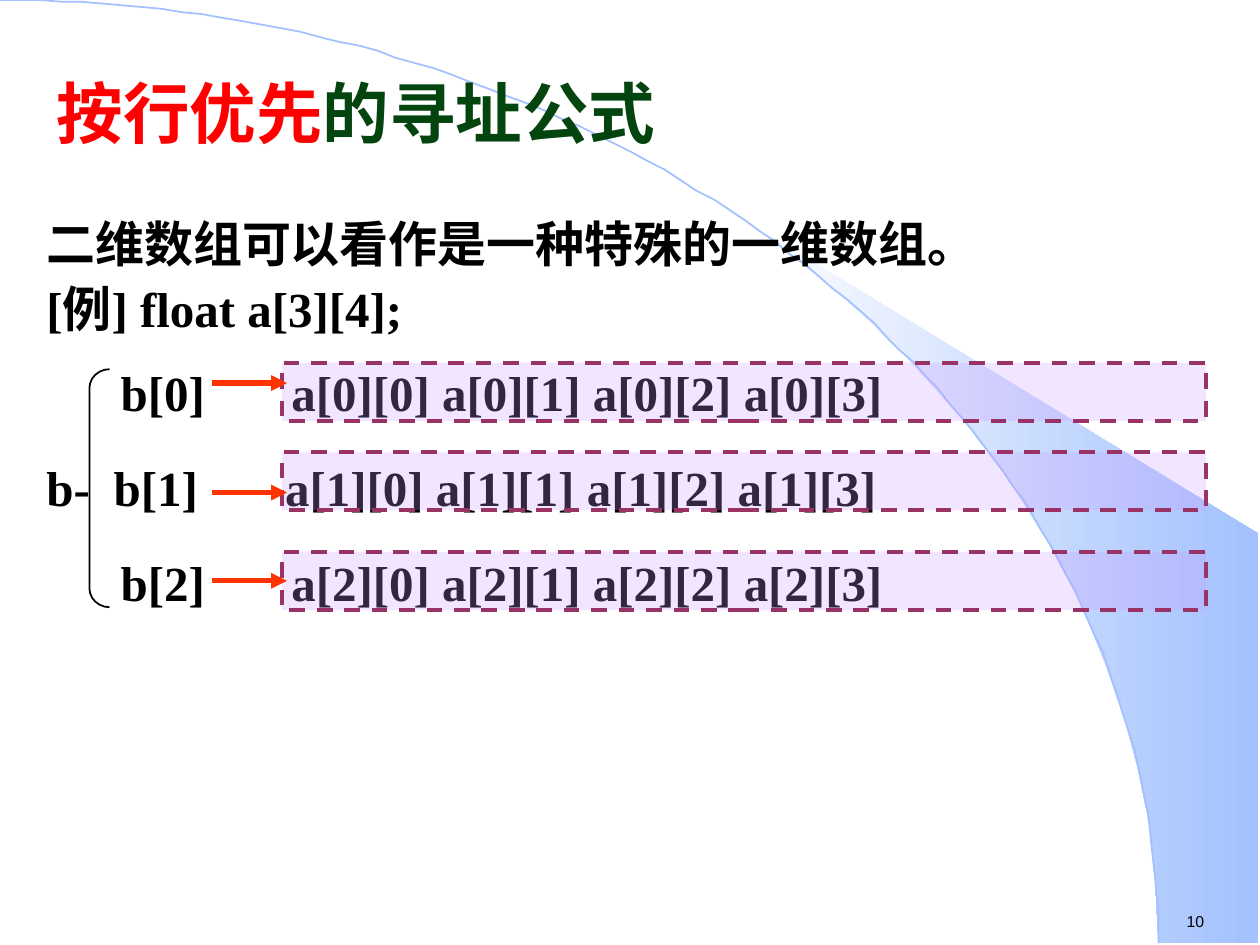
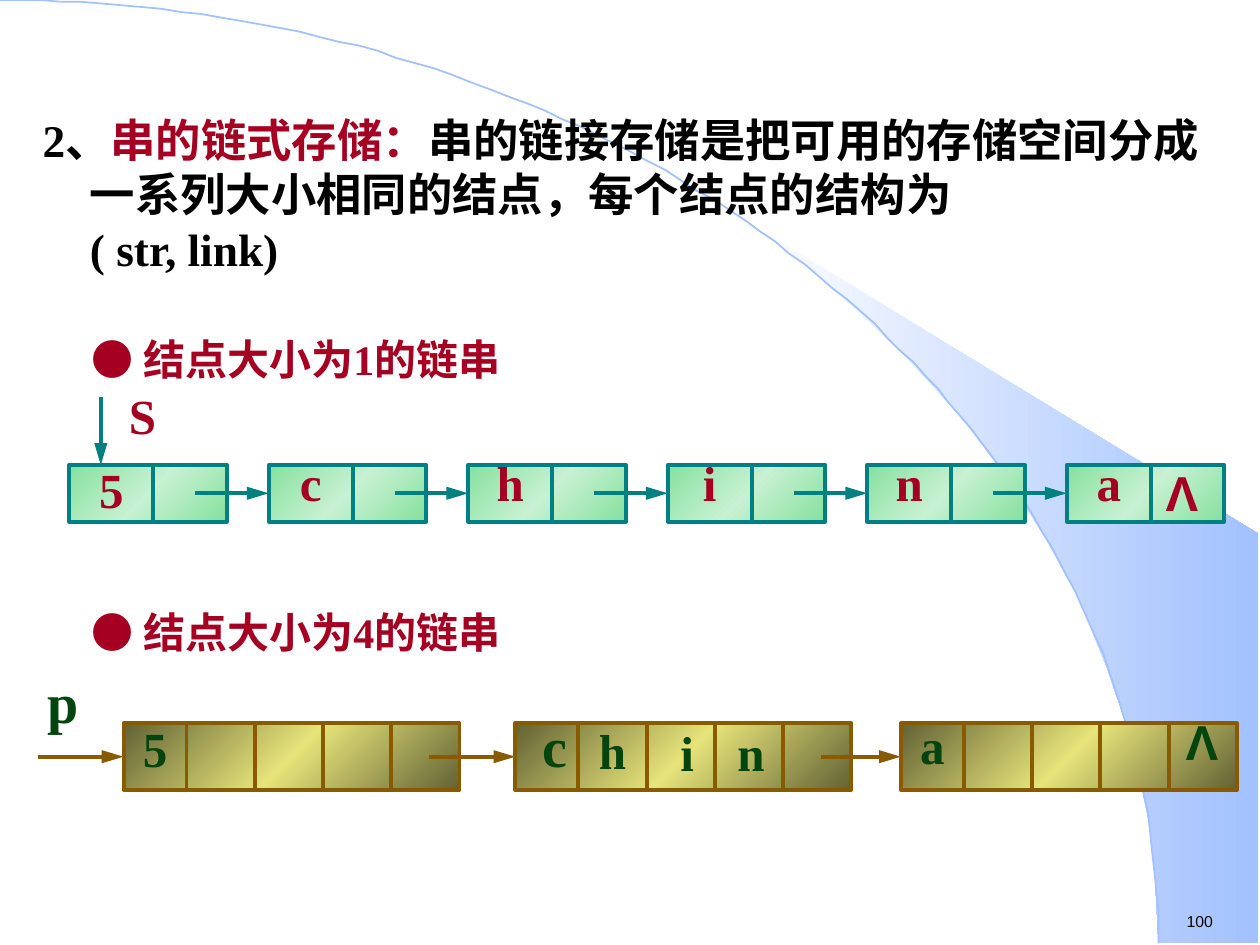
from itertools import pairwise
from math import cos, pi, sin

from lxml import etree
from pptx import Presentation
from pptx.dml.color import RGBColor
from pptx.enum import dml, shapes, text
from pptx.oxml.ns import qn
from pptx.util import Pt

BLACK = RGBColor(0, 0, 0)
RED = RGBColor(0xFF, 0, 0)
GREEN = RGBColor(0x04, 0x44, 0x0F)
CRIMSON = RGBColor(0xA5, 0x00, 0x21)
SKY = RGBColor(0xA2, 0xC1, 0xFE)
WHITE = RGBColor(0xFF, 0xFF, 0xFF)
ORANGE = RGBColor(0xFF, 0x33, 0x00)
LILAC = RGBColor(0xCC, 0x99, 0xFF)
PLUM = RGBColor(0x99, 0x33, 0x66)
TEAL = RGBColor(0x00, 0x80, 0x80)
MINT = RGBColor(0x86, 0xE0, 0x9E)
PALE_MINT = RGBColor(0xC7, 0xF1, 0xD2)
BROWN = RGBColor(0x88, 0x5B, 0x00)
OLIVE = RGBColor(0x63, 0x62, 0x35)
YELLOW = RGBColor(0xE6, 0xE3, 0x7A)

SERIF, SANS, CJK = "Times New Roman", "Arial", "Noto Sans CJK SC"

# Backdrop
SWOOSH = [(662, 539), (719, 539), (719, 305), (424, 125), (449, 143), (470, 160),
          (493, 180), (516, 202), (549, 238), (578, 276), (599, 310), (618, 345),
          (632, 380), (643, 412), (650, 438), (657, 472), (660, 501)]
ARC_WIDTH, ARC_HEIGHT, ARC_STEPS = 662, 539, 90

# Slide 1
TITLE = [("按行优先", RED), ("的寻址公式", GREEN)]
INTRO = ["二维数组可以看作是一种特殊的一维数组。", "[例] float a[3][4];"]
# text, tab stops, top of the dashed box, height of the arrow
ROWS = [
    ("\tb[0]\ta[0][0] a[0][1] a[0][2] a[0][3]", (42.5, 140), 207.4, 218.9),
    ("b-\tb[1]\ta[1][0] a[1][1] a[1][2] a[1][3]", (38.5, 136.5), 258.5, 281.5),
    ("\tb[2]\ta[2][0] a[2][1] a[2][2] a[2][3]", (42.5, 140), 315.4, 331.9),
]

# Slide 2
DEFINITION = [
    ("2、", BLACK), ("串的链式存储：", CRIMSON),
    ("串的链接存储是把可用的存储空间分成一系列大小相同的结点，每个结点的结构为", BLACK),
]
NODE_FORM = "( str, link)"
HEADINGS = [("● 结点大小为1的链串", (45.4, 170.8, 594, 53)),
            ("● 结点大小为4的链串", (45.4, 327, 357, 52))]

SINGLE = dict(lefts=[39.6 + 114 * i for i in range(6)], top=265.7, size=(90, 32.4),
              dividers=[48], link=72, edge=TEAL, shades=(MINT, PALE_MINT, MINT))
QUAD = dict(lefts=[70.6, 294.5, 514.8], top=413.3, size=(192, 38.2),
            dividers=[36 + 39 * i for i in range(4)], link=174.5, edge=BROWN,
            shades=(OLIVE, YELLOW, OLIVE))

# text, left, top, width, font size, line spacing, font
SINGLE_LABELS = [("S", 63.4, 221.8, 36, 28, 0.85, SERIF),
                 ("5", 45.6, 265.7, 36, 28, 0.8, SERIF),
                 ("Λ", 657.4, 265.7, 36, 28, 0.85, SANS)]
SINGLE_LABELS += [(letter, left + 6, 260, 36, 28, 0.85, SERIF)
                  for letter, left in zip("china", SINGLE["lefts"][1:])]
QUAD_LABELS = [("5", 70.6, 413.3, 36, 28, 0.8, SERIF),
               ("c", 294.5, 411.8, 45, 32, 0.75, SERIF),
               ("h", 329, 416.2, 42, 28, 0.75, SERIF),
               ("i", 368.6, 406.1, 48, 28, 1.1, SERIF),
               ("n", 408.2, 406.1, 42, 28, 1.1, SERIF),
               ("a", 514.8, 413.3, 36, 28, 0.75, SERIF),
               ("Λ", 668.9, 408.2, 36, 28, 0.85, SANS),
               ("p", 20, 378, 36, 32, 1, SERIF)]


def add_frame(slide, box):
    frame = slide.shapes.add_textbox(*map(Pt, box)).text_frame
    frame.word_wrap = True
    return frame


def write(para, runs, size, color=BLACK, font=SERIF, bold=True, spacing=1.0,
          hanging=0, stops=(), align=text.PP_ALIGN.LEFT):
    """Fill a paragraph with plain text or with (text, colour) runs."""
    props = para._p.get_or_add_pPr()
    if hanging:
        props.set("marL", str(Pt(hanging)))
        props.set("indent", str(-Pt(hanging)))
    if stops:
        tabs = etree.SubElement(props, qn("a:tabLst"))
        for stop in stops:
            etree.SubElement(tabs, qn("a:tab"), pos=str(Pt(stop)), algn="l")
    para.alignment = align
    para.line_spacing = spacing
    para.font.size, para.font.bold, para.font.name = Pt(size), bold, font
    latin = props.find(qn("a:defRPr")).find(qn("a:latin"))
    latin.addnext(latin.makeelement(qn("a:ea"), typeface=CJK))
    if isinstance(runs, str):
        para.font.color.rgb = color
        runs = [(runs, None)]
    for words, run_color in runs:
        run = para.add_run()
        run.text = words
        if run_color is not None:
            run.font.color.rgb = run_color


def shade(shape, colors, angle):
    """Fill with evenly spaced gradient stops, the angle running clockwise."""
    shape.fill.gradient()
    shape.fill.gradient_angle = -angle % 360
    stops = shape._element.spPr.find(".//" + qn("a:gsLst"))
    for stop in list(stops):
        stops.remove(stop)
    for i, color in enumerate(colors):
        stop = etree.SubElement(stops, qn("a:gs"), pos=str(100000 * i // (len(colors) - 1)))
        etree.SubElement(stop, qn("a:srgbClr"), val=str(color))


def add_preset(slide, kind, box, edge, width):
    shape = slide.shapes.add_shape(kind, *map(Pt, box))
    shape.shadow.inherit = False
    shape.line.color.rgb = edge
    shape.line.width = Pt(width)
    return shape


def add_line(slide, start, end, color, width, head=None):
    """Draw a straight line; head is the length of an arrowhead at its end."""
    line = slide.shapes.add_connector(shapes.MSO_CONNECTOR.STRAIGHT,
                                      *map(Pt, start + end))
    line.line.color.rgb = color
    line.line.width = Pt(width)
    if head:
        etree.SubElement(line.line._get_or_add_ln(), qn("a:tailEnd"),
                         type="triangle", w="med", len=head)
    etree.SubElement(line._element.spPr, qn("a:effectLst"))
    return line


def add_outline(slide, points, closed):
    builder = slide.shapes.build_freeform(*points[0], scale=Pt(1))
    builder.add_line_segments(points[1:], close=closed)
    outline = builder.convert_to_shape()
    outline.shadow.inherit = False
    return outline


def add_slide(deck, number):
    """Add a blank slide with the backdrop and its page number."""
    slide = deck.slides.add_slide(deck.slide_layouts[6])
    swoosh = add_outline(slide, SWOOSH, True)
    shade(swoosh, (WHITE, SKY), 0)
    swoosh.line.fill.background()
    angles = [pi / 2 * i / ARC_STEPS for i in range(ARC_STEPS + 1)]
    arc = add_outline(slide, [(ARC_WIDTH * sin(a), ARC_HEIGHT * (1 - cos(a)))
                              for a in angles], False)
    arc.fill.background()
    arc.line.color.rgb = SKY
    arc.line.width = Pt(1)
    page = add_frame(slide, (671, 517.7, 48, 18))
    write(page.paragraphs[0], number, 9, font=SANS, bold=False)
    return slide


def add_chain(slide, lefts, top, size, dividers, link, edge, shades):
    """Draw the linked nodes and return them."""
    width, height = size
    nodes = []
    for left in lefts:
        node = add_preset(slide, shapes.MSO_SHAPE.RECTANGLE,
                          (left, top, width, height), edge, 2.25)
        shade(node, shades, 45)
        nodes.append(node)
        for offset in dividers:
            x = left + offset
            add_line(slide, (x, top), (x, top + height), edge, 2.25)
    middle = top + height / 2
    for (left, following), node in zip(pairwise(lefts), nodes[1:]):
        arrow = add_line(slide, (left + link, middle), (following, middle),
                         edge, 2.5, "lg")
        arrow.end_connect(node, 1)
    return nodes


def add_labels(slide, labels, color):
    for words, left, top, width, size, spacing, font in labels:
        frame = add_frame(slide, (left, top, width, 36))
        write(frame.paragraphs[0], words, size, color, font, spacing=spacing,
              align=text.PP_ALIGN.CENTER if words != "p" else text.PP_ALIGN.LEFT)


def build_addressing(deck):
    slide = add_slide(deck, "10")
    body = add_frame(slide, (19.4, 122.4, 680.4, 289.4))
    intro = body.paragraphs[0]
    write(intro, INTRO[0], 28, spacing=0.9, hanging=48)
    example = body.add_paragraph()
    write(example, INTRO[1], 28, spacing=0.9, hanging=48)
    example.space_before = Pt(7)
    for words, stops, _, _ in ROWS:
        row = body.add_paragraph()
        write(row, words, 28, spacing=1.2, stops=stops)
        row.space_before = row.space_after = Pt(7)

    bracket = add_preset(slide, shapes.MSO_SHAPE.LEFT_BRACKET,
                         (51.1, 211, 11.5, 136), BLACK, 1)
    bracket.adjustments[0] = 0.95
    bracket.fill.background()
    for _, _, top, arrow_y in ROWS:
        box = add_preset(slide, shapes.MSO_SHAPE.RECTANGLE,
                         (161.3, top, 527.8, 33.1), PLUM, 2.25)
        box.line.dash_style = dml.MSO_LINE.DASH
        box.fill.solid()
        box.fill.fore_color.rgb = LILAC
        tint = box._element.spPr.find(qn("a:solidFill")).find(qn("a:srgbClr"))
        etree.SubElement(tint, qn("a:alpha"), val="25000")
        add_line(slide, (121, arrow_y), (164, arrow_y), ORANGE, 3, "med")
    title = add_frame(slide, (25.2, 37.4, 433.4, 53.3))
    write(title.paragraphs[0], TITLE, 38, font=CJK, hanging=27)


def build_linked_strings(deck):
    slide = add_slide(deck, "100")
    definition = add_frame(slide, (17.3, 60.5, 689, 107.3)).paragraphs[0]
    write(definition, DEFINITION, 25.9, hanging=27)
    definition.add_line_break()
    definition.add_run().text = NODE_FORM

    quads = add_chain(slide, **QUAD)
    entry_y = QUAD["top"] + QUAD["size"][1] / 2
    entry = add_line(slide, (22, entry_y), (QUAD["lefts"][0], entry_y), BROWN, 2.5, "lg")
    entry.end_connect(quads[0], 1)
    add_labels(slide, QUAD_LABELS, GREEN)

    add_chain(slide, **SINGLE)
    add_line(slide, (57.6, 227), (57.6, SINGLE["top"]), TEAL, 2.5, "lg")
    add_labels(slide, SINGLE_LABELS, CRIMSON)
    for words, box in HEADINGS:
        heading = add_frame(slide, box)
        heading.vertical_anchor = text.MSO_ANCHOR.MIDDLE
        write(heading.paragraphs[0], words, 24, CRIMSON, spacing=1.55)


def main():
    deck = Presentation()
    deck.slide_width, deck.slide_height = Pt(720), Pt(540)
    build_addressing(deck)
    build_linked_strings(deck)
    deck.save("out.pptx")


if __name__ == "__main__":
    main()
